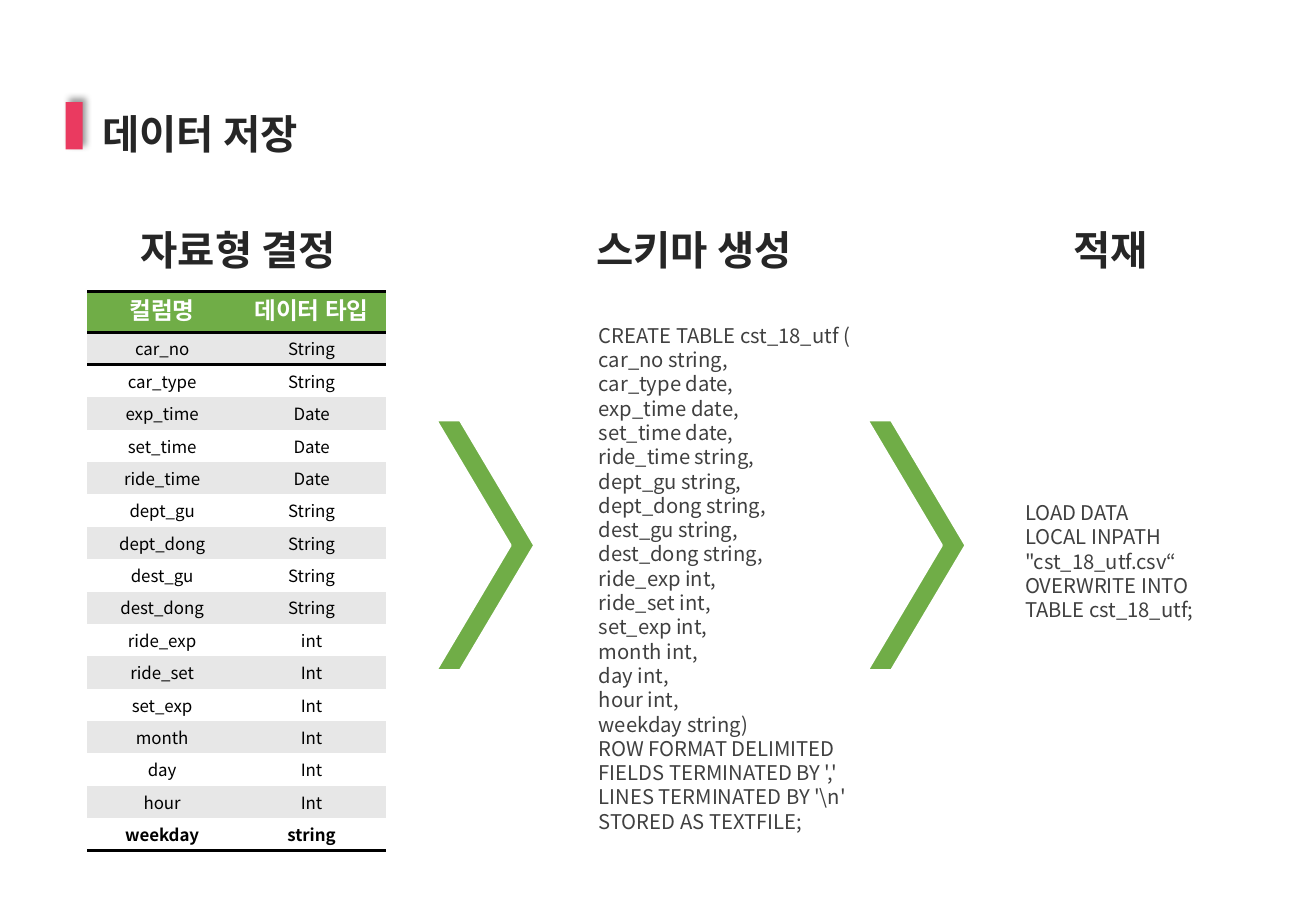
from dataclasses import dataclass

from lxml import etree
from pptx import Presentation
from pptx.dml import color
from pptx.enum import shapes, text
from pptx.oxml import ns
from pptx.util import Pt


@dataclass(frozen=True)
class Theme:
    font: str = "Noto Sans CJK KR"
    head: str = "Calibri"
    dark: str = "262626"
    code: str = "404040"
    green: str = "70AD47"
    pink: str = "EA3A60"
    band: str = "E7E7E7"
    white: str = "FFFFFF"
    black: str = "000000"
    title: float = 24
    label: float = 14
    body: float = 12
    small: float = 10


@dataclass(frozen=True)
class Block:
    words: str
    left: float
    top: float
    width: float
    size: float
    ink: str
    bold: bool = False


T = Theme()
LEAD = 1.2  # line height relative to type size
DROP = 0.12  # baseline drop relative to type size
PAD = 3.6

STEPS = [
    Block("자료형 결정", 76.3, 126.7, 137.5, T.title, T.dark, True),
    Block("스키마 생성", 346.3, 126.7, 137.5, T.title, T.dark, True),
    Block("적재", 629.3, 126.7, 61.2, T.title, T.dark, True),
]

SCHEMA = r"""CREATE TABLE cst_18_utf (
car_no string,
car_type date,
exp_time date,
set_time date,
ride_time string,
dept_gu string,
dept_dong string,
dest_gu string,
dest_dong string,
ride_exp int,
ride_set int,
set_exp int,
month int,
day int,
hour int,
weekday string)
ROW FORMAT DELIMITED
FIELDS TERMINATED BY ','
LINES TERMINATED BY '\n'
STORED AS TEXTFILE;"""

LOAD = """LOAD DATA
LOCAL INPATH
"cst_18_utf.csv“
OVERWRITE INTO
TABLE cst_18_utf;"""

CODE = [
    Block(SCHEMA, 347.8, 186.5, 195, T.body, T.code),
    Block(LOAD, 600.5, 291.6, 172, T.body, T.code),
]

ROWS = [
    ("컬럼명", "데이터 타입"),
    ("car_no", "String"), ("car_type", "String"),
    ("exp_time", "Date"), ("set_time", "Date"), ("ride_time", "Date"),
    ("dept_gu", "String"), ("dept_dong", "String"),
    ("dest_gu", "String"), ("dest_dong", "String"),
    ("ride_exp", "int"), ("ride_set", "Int"), ("set_exp", "Int"),
    ("month", "Int"), ("day", "Int"), ("hour", "Int"),
    ("weekday", "string"),
]


def rgb(code: str) -> color.RGBColor:
    return color.RGBColor.from_string(code)


def write(frame, words: str, *, size: float, ink: str, font: str = T.font,
          bold: bool = False, align=text.PP_ALIGN.LEFT) -> None:
    """Fill a text frame, one paragraph for each line."""
    for i, line in enumerate(words.split("\n")):
        para = frame.paragraphs[0] if i == 0 else frame.add_paragraph()
        para.alignment = align
        para.line_spacing = Pt(LEAD * size)
        para.space_before = para.space_after = Pt(0)
        run = para.add_run()
        run.text = line
        run.font.name = font
        run.font.size = Pt(size)
        run.font.bold = bold
        run.font.color.rgb = rgb(ink)
        east = etree.SubElement(run.font._element, ns.qn("a:ea"))
        east.set("typeface", font)


def place(shape, block: Block) -> None:
    """Move a text shape to its block and write the words."""
    lines = block.words.count("\n") + 1
    shape.left, shape.top = Pt(block.left), Pt(block.top)
    shape.width = Pt(block.width)
    shape.height = Pt(lines * LEAD * block.size + 2 * PAD)
    frame = shape.text_frame
    frame.word_wrap = True
    frame.auto_size = text.MSO_AUTO_SIZE.NONE
    frame.vertical_anchor = text.MSO_ANCHOR.TOP
    frame.margin_left = frame.margin_right = Pt(2 * PAD)
    frame.margin_top = Pt(PAD + DROP * block.size)
    frame.margin_bottom = Pt(0)
    write(frame, block.words, size=block.size, ink=block.ink, bold=block.bold)


def solid(slide, kind, left: float, top: float, width: float, height: float,
          fill: str):
    shape = slide.shapes.add_shape(
        kind, Pt(left), Pt(top), Pt(width), Pt(height))
    shape.shadow.inherit = False
    shape.fill.solid()
    shape.fill.fore_color.rgb = rgb(fill)
    shape.line.fill.background()
    return shape


def shade(shape) -> None:
    """Give a shape a soft shadow up and to the right."""
    glow = etree.SubElement(
        shape._element.spPr.find(ns.qn("a:effectLst")), ns.qn("a:outerShdw"),
        blurRad=str(Pt(4)), dist=str(Pt(3)), dir=str(315 * 60000),
        algn="bl", rotWithShape="0")
    tint = etree.SubElement(glow, ns.qn("a:srgbClr"), val=T.black)
    etree.SubElement(tint, ns.qn("a:alpha"), val="40000")


def rule(cell, *sides: str) -> None:
    """Draw black borders, which come before the cell fill."""
    props = cell._tc.get_or_add_tcPr()
    for i, side in enumerate(sides):
        edge = etree.Element(ns.qn(f"a:{side}"), w=str(Pt(2)))
        fill = etree.SubElement(edge, ns.qn("a:solidFill"))
        etree.SubElement(fill, ns.qn("a:srgbClr"), val=T.black)
        props.insert(i, edge)


def grid(slide) -> None:
    tall, row = 24.3, 19.2
    last = len(ROWS) - 1
    frame = slide.shapes.add_table(
        len(ROWS), 2, Pt(51.8), Pt(172.8), Pt(177.2), Pt(tall + last * row))
    table = frame.table
    table.first_row = table.horz_banding = False
    style = table._tbl.tblPr.find(ns.qn("a:tableStyleId"))
    style.text = "{2D5ABB26-0587-4C30-8999-92F81FD0307C}"
    for r, pair in enumerate(ROWS):
        head = r == 0
        size = T.label if head else T.small
        drop = 0 if head else DROP * size
        table.rows[r].height = Pt(tall if head else row)
        for c, words in enumerate(pair):
            cell = table.cell(r, c)
            cell.margin_top = Pt(PAD + drop)
            cell.margin_bottom = Pt(PAD - drop)
            cell.fill.solid()
            cell.fill.fore_color.rgb = rgb(
                T.green if head else T.band if r % 2 else T.white)
            write(cell.text_frame, words, size=size,
                  ink=T.white if head else T.black,
                  font=T.head if head else T.font,
                  bold=r in (0, last), align=text.PP_ALIGN.CENTER)
            if head:
                rule(cell, "lnT", "lnB")
            elif r == 1:
                rule(cell, "lnT")
            elif r == last:
                rule(cell, "lnB")


def main() -> None:
    deck = Presentation()
    deck.slide_width, deck.slide_height = Pt(780), Pt(540)
    slide = deck.slides.add_slide(deck.slide_layouts[5])

    # Title with its marker
    place(slide.shapes.title,
          Block("데이터 저장", 53.3, 58.3, 278.6, T.title, T.dark, True))
    shade(solid(slide, shapes.MSO_SHAPE.RECTANGLE,
                38.9, 60.5, 10.1, 28.1, T.pink))

    # Step headings and code
    for block in STEPS + CODE:
        place(slide.shapes.add_textbox(0, 0, 0, 0), block)

    # Column types
    grid(slide)

    # Arrows between steps
    for left in (258.5, 514.1):
        arrow = solid(slide, shapes.MSO_SHAPE.CHEVRON,
                      left, 249.1, 58.3, 148.3, T.green)
        arrow.adjustments[0] = 0.755
        arrow.line.color.rgb = rgb(T.white)
        arrow.line.width = Pt(1.5)

    deck.save("out.pptx")


if __name__ == "__main__":
    main()
